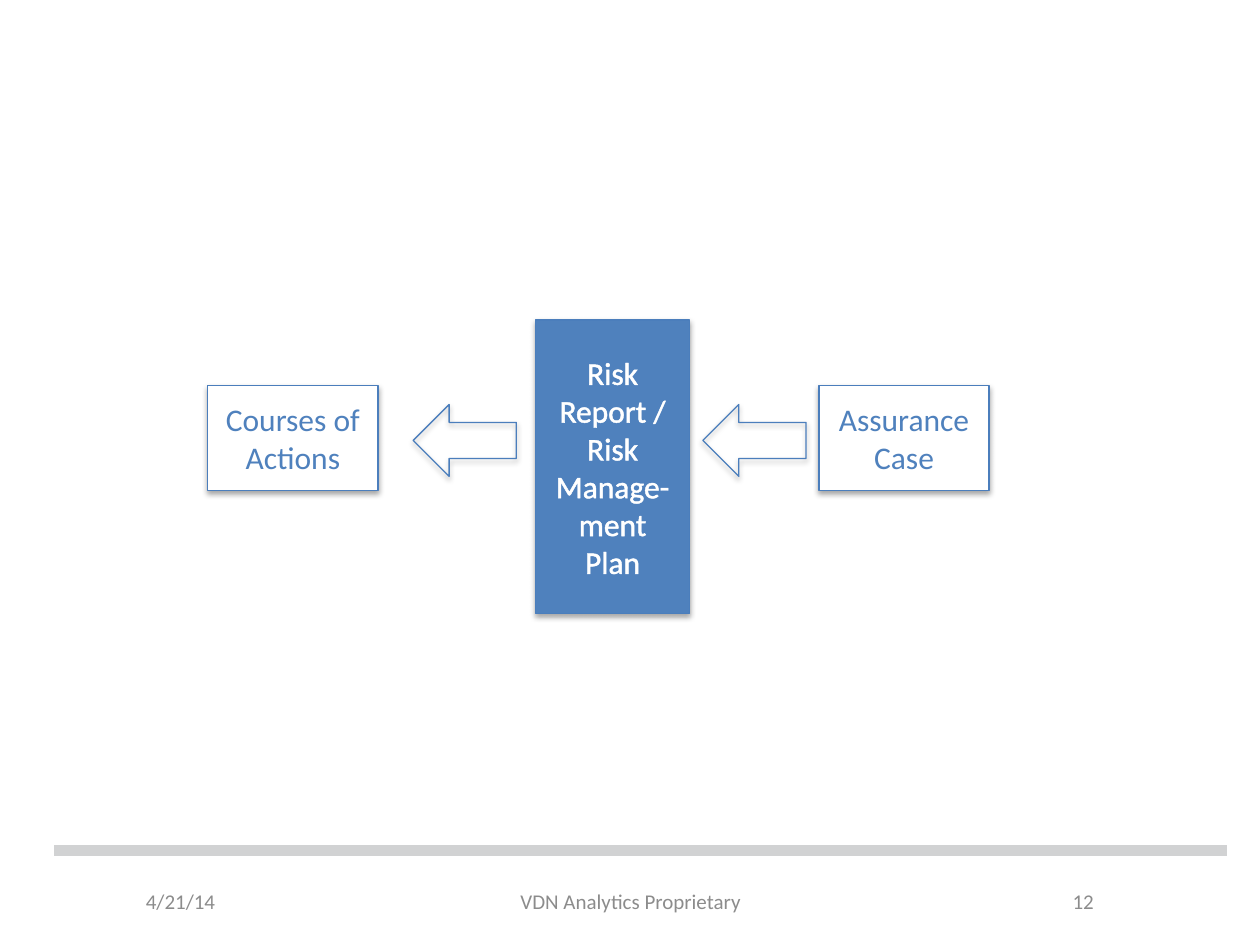
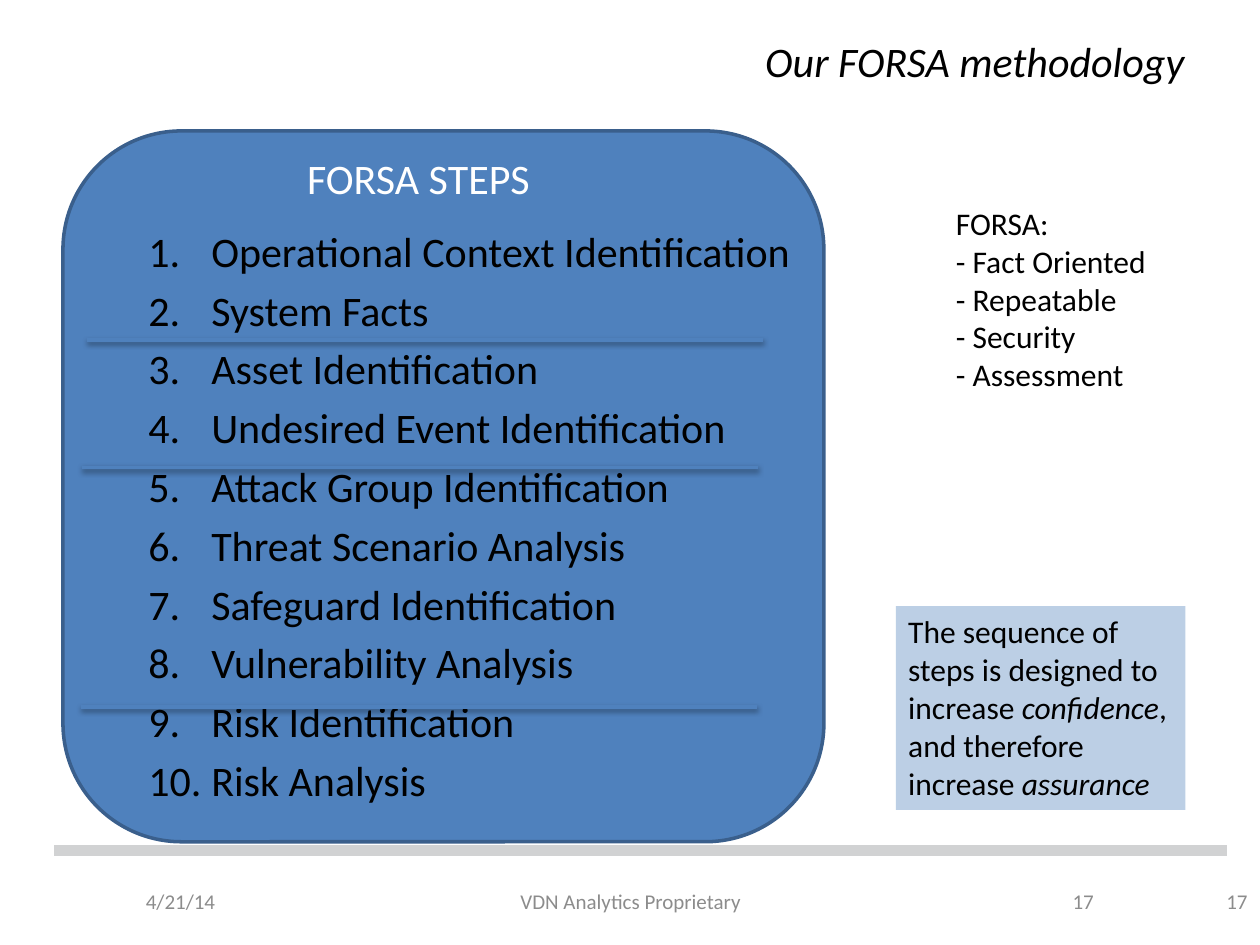
import pptx
import pptx.util
import pptx.dml.color
import pptx.enum.shapes
import pptx.enum.text
import pptx.oxml.ns
from lxml import etree
from dataclasses import dataclass

Cm, Pt = pptx.util.Cm, pptx.util.Pt
SHAPE = pptx.enum.shapes.MSO_SHAPE
ALIGN = pptx.enum.text.PP_ALIGN
ANCHOR = pptx.enum.text.MSO_ANCHOR
qn = pptx.oxml.ns.qn


@dataclass(frozen=True)
class Theme:
    font: str = "Calibri"
    black: str = "000000"
    white: str = "FFFFFF"
    blue: str = "4F81BD"
    edge: str = "4B7EBC"
    dark_edge: str = "3A5F8C"
    rule: str = "D1D2D3"
    grey: str = "8C8C8C"
    heading: int = 24
    body: int = 18
    footer: int = 12


THEME = Theme()

DATE = "4/21/14"
OWNER = "VDN Analytics Proprietary"
FOOTER_TOP, FOOTER_HEIGHT = 17.65, 1.02
NUMBER_WIDTH = 4.09
RULE = (1.09, 24.74, 17.15)

FLOW_AXIS = 8.83
FLOW_BOXES = [
    ("Assurance Case", 16.51),
    ("Courses of Actions", 4.19),
]
FLOW_BOX_SIZE = (3.43, 2.11)
ARROW_LEFTS = [14.17, 8.33]
ARROW_SIZE = (2.08, 1.45)
REPORT = ["Risk Report / Risk Manage-ment", "Plan"]
REPORT_AT = (10.8, 6.45, 3.1, 5.92)

METHOD_TITLE = "Our FORSA methodology"
STEPS_TITLE = "FORSA STEPS"
STEPS = [
    "Operational Context Identification",
    "System Facts",
    "Asset Identification",
    "Undesired Event Identification",
    "Attack Group Identification",
    "Threat Scenario Analysis",
    "Safeguard Identification",
    "Vulnerability Analysis",
    "Risk Identification",
    "Risk Analysis",
]
DIVIDERS = [(1.75, 6.85), (1.65, 9.42), (1.63, 14.25)]
DIVIDER_LENGTH = 13.63
ACRONYM = ["FORSA:", "- Fact Oriented", "- Repeatable", "- Security", "- Assessment"]
SEQUENCE_NOTE = [
    "The sequence of",
    "steps is designed to",
    [("increase ", False), ("confidence", True), (",", False)],
    "and therefore",
    [("increase ", False), ("assurance", True)],
]


def rgb(colour):
    return pptx.dml.color.RGBColor.from_string(colour)


def write(holder, paragraphs, size=THEME.body, colour=THEME.black, align=ALIGN.LEFT,
          anchor=ANCHOR.TOP, italic=False, wrap=True, numbered=False, outline=None):
    frame = holder.text_frame
    frame.word_wrap = wrap
    frame.vertical_anchor = anchor
    for index, content in enumerate(paragraphs):
        paragraph = frame.paragraphs[0] if index == 0 else frame.add_paragraph()
        paragraph.alignment = align
        if numbered:
            properties = paragraph._p.get_or_add_pPr()
            properties.set("marL", str(Cm(1.27)))
            properties.set("indent", str(-Cm(1.27)))
            etree.SubElement(properties, qn("a:buAutoNum"), type="arabicPeriod")
            paragraph.space_before = Pt(0.2 * size if index else 0)
        pieces = [(content, italic)] if isinstance(content, str) else content
        for text, slanted in pieces:
            run = paragraph.add_run()
            run.text = text
            run.font.name = THEME.font
            run.font.size = Pt(size)
            run.font.italic = slanted
            run.font.color.rgb = rgb(colour)
            if outline:
                stroke = etree.Element(qn("a:ln"), w=str(Pt(0.75)))
                fill = etree.SubElement(stroke, qn("a:solidFill"))
                etree.SubElement(fill, qn("a:srgbClr"), val=outline)
                run._r.get_or_add_rPr().insert(0, stroke)


def add_text(slide, place, paragraphs, **style):
    write(slide.shapes.add_textbox(*map(Cm, place)), paragraphs, **style)


def cast_shadow(effects, distance, opacity):
    shadow = etree.SubElement(effects, qn("a:outerShdw"), blurRad="40000",
                              dist=str(Pt(distance)), dir="5400000", rotWithShape="0")
    tint = etree.SubElement(shadow, qn("a:srgbClr"), val=THEME.black)
    etree.SubElement(tint, qn("a:alpha"), val=str(opacity * 1000))


def add_block(slide, kind, place, fill=None, line=None, width=0.75, shadow=False, alpha=None):
    block = slide.shapes.add_shape(kind, *map(Cm, place))
    block.shadow.inherit = False
    if fill:
        block.fill.solid()
        block.fill.fore_color.rgb = rgb(fill)
    else:
        block.fill.background()
    if alpha:
        tint = block._element.spPr.find(".//" + qn("a:srgbClr"))
        etree.SubElement(tint, qn("a:alpha"), val=str(alpha * 1000))
    if line:
        block.line.color.rgb = rgb(line)
        block.line.width = Pt(width)
    else:
        block.line.fill.background()
    if shadow:
        cast_shadow(block._element.spPr.find(qn("a:effectLst")), 1.8, 35)
    return block


def add_rule(slide, left, right, y, colour, width, shadow=False):
    rule = slide.shapes.add_connector(pptx.enum.shapes.MSO_CONNECTOR.STRAIGHT,
                                      Cm(left), Cm(y), Cm(right), Cm(y))
    rule.line.color.rgb = rgb(colour)
    rule.line.width = Pt(width)
    effects = etree.SubElement(rule._element.spPr, qn("a:effectLst"))
    if shadow:
        cast_shadow(effects, 1.6, 38)


def add_footer(slide, number, number_lefts=(18.21,)):
    parts = [(DATE, 2.69, 4.5, ALIGN.LEFT), (OWNER, 8.69, 8.05, ALIGN.CENTER)]
    parts += [(number, left, NUMBER_WIDTH, ALIGN.RIGHT) for left in number_lefts]
    for text, left, width, align in parts:
        add_text(slide, (left, FOOTER_TOP, width, FOOTER_HEIGHT), [text], size=THEME.footer,
                 colour=THEME.grey, align=align, anchor=ANCHOR.MIDDLE)
    add_rule(slide, *RULE, THEME.rule, 6)


def build_flow(deck):
    slide = deck.slides.add_slide(deck.slide_layouts[6])
    add_footer(slide, "12")
    centred = dict(align=ALIGN.CENTER, anchor=ANCHOR.MIDDLE)
    width, height = FLOW_BOX_SIZE
    for label, left in FLOW_BOXES:
        box = add_block(slide, SHAPE.RECTANGLE, (left, FLOW_AXIS - height / 2, width, height),
                        THEME.white, THEME.edge, shadow=True)
        write(box, [label], colour=THEME.blue, **centred)
    report = add_block(slide, SHAPE.RECTANGLE, REPORT_AT, THEME.blue, THEME.edge, shadow=True)
    write(report, REPORT, colour=THEME.white, outline=THEME.white, **centred)
    width, height = ARROW_SIZE
    for left in ARROW_LEFTS:
        add_block(slide, SHAPE.LEFT_ARROW, (left, FLOW_AXIS + 0.05 - height / 2, width, height),
                  line=THEME.edge, shadow=True)


def build_methodology(deck):
    slide = deck.slides.add_slide(deck.slide_layouts[5])
    add_footer(slide, "17", (18.21, 21.31))
    title = slide.shapes.title
    title.left, title.top, title.width, title.height = map(Cm, (1.27, 0.53, 22.86, 1.4))
    write(title, [METHOD_TITLE], size=THEME.heading, align=ALIGN.RIGHT,
          anchor=ANCHOR.MIDDLE, italic=True)
    add_block(slide, SHAPE.ROUNDED_RECTANGLE, (1.27, 2.64, 15.34, 14.33),
              THEME.blue, THEME.dark_edge, width=2)
    add_text(slide, (5.94, 2.95, 5.99, 1.27), [STEPS_TITLE],
             size=THEME.heading, colour=THEME.white)
    add_text(slide, (2.74, 4.42, 13.94, 12.42), STEPS, size=THEME.heading, numbered=True)
    note = add_block(slide, SHAPE.RECTANGLE, (18.06, 12.22, 5.84, 4.11), THEME.blue, alpha=38)
    write(note, SEQUENCE_NOTE, wrap=False)
    add_text(slide, (19.02, 3.99, 4.37, 4.11), ACRONYM, wrap=False)
    for left, y in DIVIDERS:
        add_rule(slide, left, left + DIVIDER_LENGTH, y, THEME.blue, 2, shadow=True)


def main():
    deck = pptx.Presentation()
    deck.slide_width, deck.slide_height = Cm(25.4), Cm(19.05)
    build_flow(deck)
    build_methodology(deck)
    deck.save("out.pptx")


if __name__ == "__main__":
    main()
